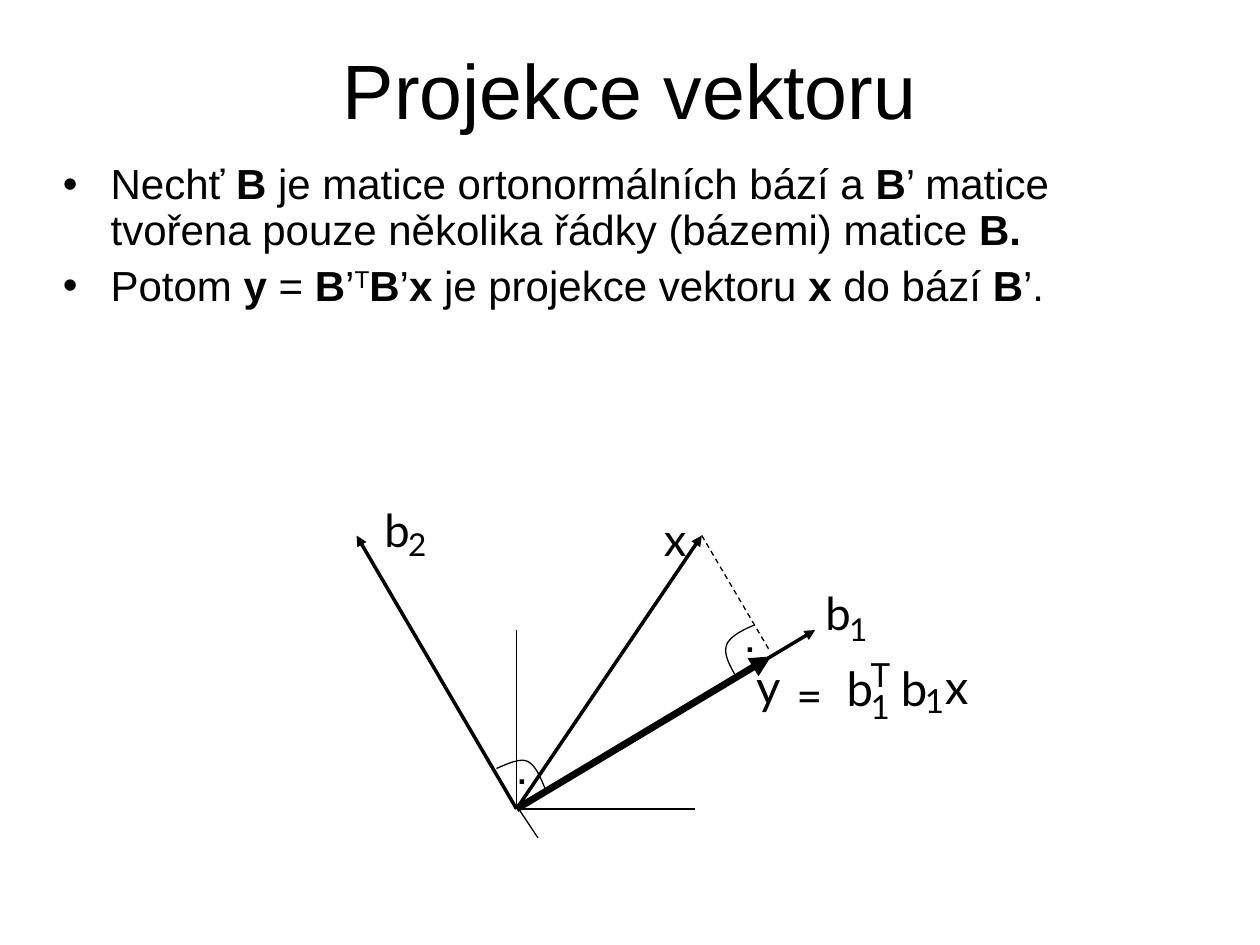
from lxml import etree
from pptx import Presentation
from pptx.dml.color import RGBColor
from pptx.enum.dml import MSO_LINE
from pptx.enum.shapes import MSO_CONNECTOR
from pptx.enum.text import MSO_ANCHOR, PP_ALIGN
from pptx.oxml.ns import qn
from pptx.util import Inches, Pt

BLACK = RGBColor(0, 0, 0)
LINE = MSO_CONNECTOR.STRAIGHT
DASH = MSO_LINE.DASH
MIDDLE, BOTTOM = MSO_ANCHOR.MIDDLE, MSO_ANCHOR.BOTTOM
CENTER = PP_ALIGN.CENTER

prs = Presentation()
prs.slide_width, prs.slide_height = Inches(10), Inches(7.5)
slide = prs.slides.add_slide(prs.slide_layouts[6])
shapes = slide.shapes


def add_box(left, top, width, height):
    box = shapes.add_textbox(*map(Inches, (left, top, width, height)))
    box.text_frame.word_wrap = True
    return box.text_frame


def set_font(para, size, name="Arial", bold=None):
    font = para.font
    font.size, font.name, font.bold = Pt(size), name, bold
    font.color.rgb = BLACK


# Title
frame = add_box(0.5, 0.08, 9, 1.25)
frame.vertical_anchor = MIDDLE
para = frame.paragraphs[0]
para.text = "Projekce vektoru"
para.alignment = CENTER
set_font(para, 44)

# Bullets: * switches bold, ^ switches superscript
items = [
    "Nechť *B* je matice ortonormálních bází a *B*’ matice "
    "tvořena pouze několika řádky (bázemi) matice *B.*",
    "Potom *y* = *B*’^T^*B*’*x* je projekce vektoru *x* do bází *B*’.",
]
frame = add_box(0.4, 1.25, 9, 1.83)
for i, item in enumerate(items):
    para = frame.add_paragraph() if i else frame.paragraphs[0]
    para.line_spacing = 0.9
    para.space_before = Pt(6 if i else 0)
    props = para._p.get_or_add_pPr()
    props.set("marL", str(Inches(0.38)))
    props.set("indent", str(-Inches(0.38)))
    etree.SubElement(props, qn("a:buFont")).set("typeface", "Arial")
    etree.SubElement(props, qn("a:buChar")).set("char", "•")
    set_font(para, 24)
    for j, part in enumerate(item.split("*")):
        for k, text in enumerate(part.split("^")):
            if text:
                run = para.add_run()
                run.text = text
                if j % 2:
                    run.font.bold = True
                if k % 2:
                    run.font._element.set("baseline", "30000")

# Axes, vectors and projection: from, to, weight, arrow, dashed
zero, tip = (4.1, 6.42), (5.57, 4.25)
lines = [
    (zero, (5.52, 6.42), 0.75, False, False),
    (zero, (4.1, 5), 0.75, False, False),
    (zero, tip, 2, True, False),
    (zero, (6.47, 5), 2, True, False),
    (tip, (6.1, 5.15), 0.75, False, True),
    ((4.11, 6.41), (4.27, 6.65), 0.75, False, False),
    (zero, (2.83, 4.25), 2, True, False),
    (zero, (6.12, 5.21), 4, True, False),
]
for start, end, weight, arrow, dashed in lines:
    line = shapes.add_connector(LINE, *map(Inches, start + end))
    line.line.color.rgb = BLACK
    line.line.width = Pt(weight)
    if dashed:
        line.line.dash_style = DASH
    if arrow:
        etree.SubElement(line.line._get_or_add_ln(), qn("a:tailEnd")).set("type", "triangle")
    etree.SubElement(line._element.spPr, qn("a:effectLst"))

# Right-angle arcs: two Bezier curves each, sampled in short steps
arcs = [
    [(5.99, 4.96), (5.89, 5), (5.8, 5.05), (5.77, 5.11),
     (5.74, 5.18), (5.78, 5.26), (5.83, 5.35)],
    [(4.33, 6.27), (4.29, 6.17), (4.25, 6.07), (4.18, 6.04),
     (4.12, 6.02), (4.03, 6.06), (3.94, 6.1)],
]
STEPS = 12
for arc in arcs:
    points = []
    for first in (0, 3):
        for step in range(1, STEPS + 1):
            t = step / STEPS
            parts = ((1 - t) ** 3, 3 * t * (1 - t) ** 2, 3 * t * t * (1 - t), t ** 3)
            points.append(tuple(
                Inches(sum(w * p[axis] for w, p in zip(parts, arc[first:first + 4])))
                for axis in (0, 1)))
    pen = shapes.build_freeform(*map(Inches, arc[0]))
    pen.add_line_segments(points, close=False)
    curve = pen.convert_to_shape()
    curve.shadow.inherit = False
    curve.fill.background()
    curve.line.color.rgb = BLACK
    curve.line.width = Pt(0.75)

# Right-angle dots
for left, top in [(5.82, 4.88), (4.01, 5.93)]:
    para = add_box(left, top, 0.37, 0.4).paragraphs[0]
    para.text = "."
    set_font(para, 18, bold=True)

# Vector labels and formula: text, left, top, width, height, size, bottom inset
labels = [
    ("x", 5.27, 4.33, 0.24, 0.16, 26, 0),
    ("b", 3.05, 4.17, 0.19, 0.25, 26, 0),
    ("2", 3.24, 4.31, 0.14, 0.16, 18, 0),
    ("b", 6.55, 4.83, 0.19, 0.25, 26, 0),
    ("1", 6.74, 4.98, 0.14, 0.16, 18, 0),
    ("y", 6, 5.51, 0.22, 0.23, 27, 0.07),
    ("=", 6.33, 5.54, 0.29, 0.09, 27, -0.1),
    ("b", 6.72, 5.42, 0.19, 0.26, 27, 0),
    ("T", 6.91, 5.33, 0.17, 0.18, 19, 0),
    ("1", 6.91, 5.6, 0.15, 0.16, 19, 0),
    ("b", 7.15, 5.42, 0.19, 0.26, 27, 0),
    ("1", 7.34, 5.56, 0.15, 0.16, 19, 0),
    ("x", 7.5, 5.51, 0.24, 0.16, 27, 0),
]
for text, left, top, width, height, size, inset in labels:
    frame = add_box(left, top, width, height)
    frame.word_wrap = False
    frame.vertical_anchor = BOTTOM
    frame.margin_left = frame.margin_right = frame.margin_top = 0
    frame.margin_bottom = Inches(inset)
    para = frame.paragraphs[0]
    para.text = text
    set_font(para, size, "Calibri" if text == "=" else "Lato")

prs.save("out.pptx")
